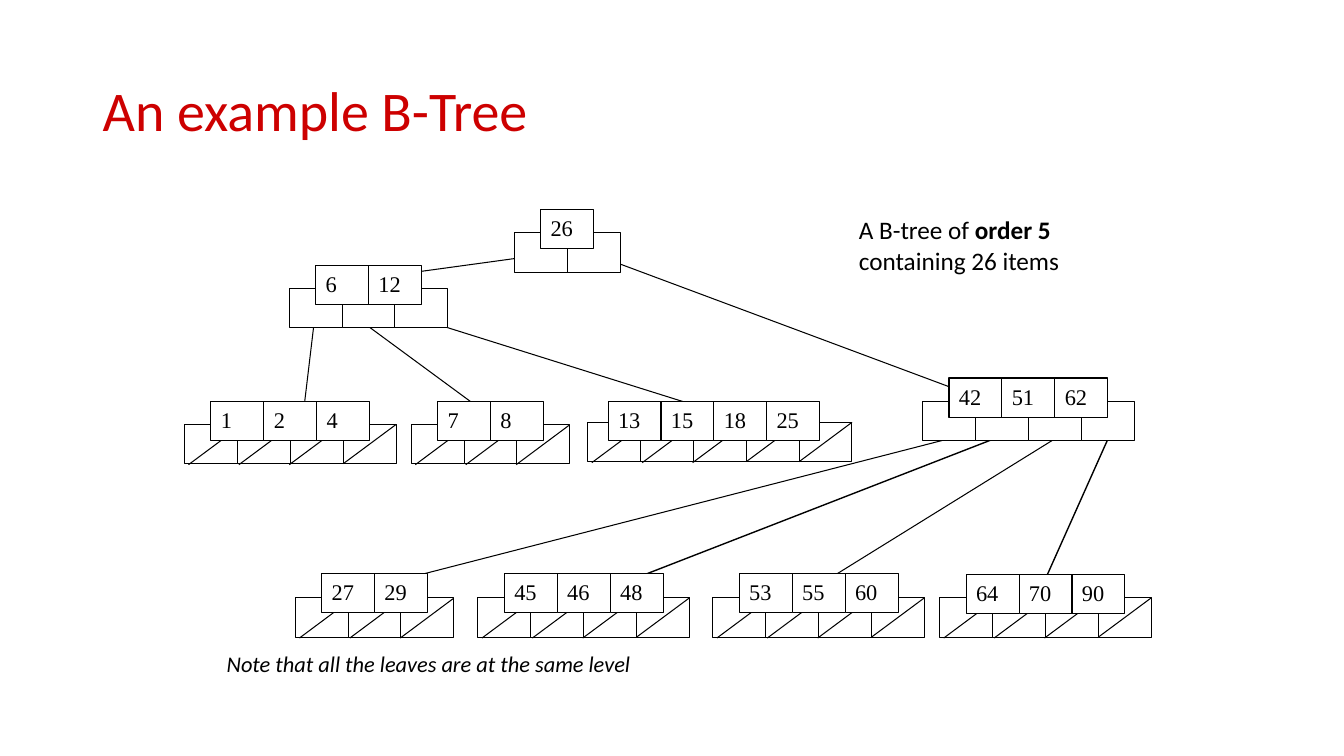
from pptx import Presentation
from pptx.dml.color import RGBColor
from pptx.enum.shapes import MSO_CONNECTOR, MSO_SHAPE
from pptx.enum.text import MSO_ANCHOR
from pptx.oxml import parse_xml
from pptx.oxml.ns import nsdecls
from pptx.util import Emu, Pt

PX = 9144
SLIDE_SIZE = (1333, 750)
BLACK = RGBColor(0x00, 0x00, 0x00)
WHITE = RGBColor(0xFF, 0xFF, 0xFF)
RED = RGBColor(0xCD, 0x00, 0x00)

TITLE_FONT = {"name": "Calibri", "size": Pt(40)}
CAPTION_FONT = {"name": "Calibri", "size": Pt(18)}
STRONG_FONT = CAPTION_FONT | {"bold": True}
NOTE_FONT = {"name": "Calibri", "size": Pt(16), "italic": True}
KEY_FONT = {"name": "Times New Roman", "size": Pt(16)}

CELL_HEIGHT = 39
SLASH_INSET = 4
SLASH_PITCH = 50
INSET_SLASHES = 3

BRANCHES = [
    ((510, 208, 105, 62), [26]),
    ((287, 263, 157, 62), [6, 12]),
    ((915, 375, 210, 62), [42, 51, 62]),
]
LEAVES = [
    ((183, 398, 210, 62), [1, 2, 4], (0, 0)),
    ((408, 398, 157, 62), [7, 8], (0, 0)),
    ((577, 398, 262, 62), [13, 15, 18, 25], (6, -2)),
    ((293, 569, 157, 63), [27, 29], (0, 0)),
    ((474, 569, 210, 63), [45, 46, 48], (0, 0)),
    ((707, 569, 210, 63), [53, 55, 60], (0, 0)),
    ((932, 570, 210, 62), [64, 70, 90], (0, 0)),
]
EDGES = [
    ((536, 253), (339, 280), 0.75),
    ((583, 250), (1020, 413), 0.75),
    ((313, 308), (300, 417), 0.75),
    ((367, 325), (492, 417), 0.75),
    ((396, 310), (708, 408), 0.75),
    ((950, 433), (367, 583), 0.75),
    ((992, 433), (583, 592), 1),
    ((1050, 433), (808, 583), 0.75),
    ((1100, 433), (1033, 583), 1),
]


def scaled(*lengths):
    return [Emu(round(length * PX)) for length in lengths]


def write_run(paragraph, words, font_values, color=BLACK):
    run = paragraph.add_run()
    run.text = words
    for attribute, value in font_values.items():
        setattr(run.font, attribute, value)
    run.font.color.rgb = color


def draw_line(slide, start, end, weight=0.75):
    line = slide.shapes.add_connector(
        MSO_CONNECTOR.STRAIGHT, *scaled(*start, *end))
    line.line.color.rgb = BLACK
    line.line.width = Pt(weight)
    line._element.spPr.append(parse_xml(f"<a:effectLst {nsdecls('a')}/>"))


def draw_cell(slide, box, key=None):
    cell = slide.shapes.add_shape(MSO_SHAPE.RECTANGLE, *scaled(*box))
    cell.shadow.inherit = False
    cell.fill.solid()
    cell.fill.fore_color.rgb = WHITE
    cell.line.color.rgb = BLACK
    cell.line.width = Pt(0.75)
    if key is not None:
        cell.text_frame.vertical_anchor = MSO_ANCHOR.TOP
        paragraph = cell.text_frame.paragraphs[0]
        paragraph.alignment = 1
        write_run(paragraph, str(key), KEY_FONT)


def draw_node(slide, box, keys, is_leaf=False, pointer_shift=(0, 0)):
    left, top, width, height = box
    pointer_count = len(keys) + 1
    cell_width = width / pointer_count
    pointer_left = left + pointer_shift[0]
    pointer_top = top + height - CELL_HEIGHT + pointer_shift[1]
    for index in range(pointer_count):
        draw_cell(slide, (pointer_left + index * cell_width, pointer_top,
                          cell_width, CELL_HEIGHT))
    if is_leaf:
        for index in range(pointer_count):
            is_inset = index < INSET_SLASHES
            offset = SLASH_INSET + index * SLASH_PITCH if is_inset else index * cell_width
            slash_left = pointer_left + offset
            slash_top = pointer_top + is_inset
            draw_line(slide, (slash_left + cell_width, slash_top),
                      (slash_left, slash_top + CELL_HEIGHT))
    for index, key in enumerate(keys):
        draw_cell(slide, (left + (index + 0.5) * cell_width, top,
                          cell_width, CELL_HEIGHT), key)


def draw_text(slide, box, runs, frame_values, paragraph_values):
    frame = slide.shapes.add_textbox(*scaled(*box)).text_frame
    paragraph = frame.paragraphs[0]
    for target, values in ((frame, frame_values), (paragraph, paragraph_values)):
        for attribute, value in values.items():
            setattr(target, attribute, value)
    for run in runs:
        write_run(paragraph, *run)


def draw_title(slide, box):
    draw_text(slide, box, [("An example B-Tree", TITLE_FONT, RED)],
              {"word_wrap": True, "vertical_anchor": MSO_ANCHOR.MIDDLE},
              {"line_spacing": 0.9})


def draw_caption(slide, box):
    draw_text(slide, box, [("A B-tree of ", CAPTION_FONT),
                           ("order 5", STRONG_FONT),
                           (" containing 26 items", CAPTION_FONT)],
              {"word_wrap": True}, {})


def draw_note(slide, box):
    draw_text(slide, box,
              [("Note that all the leaves are at the same level", NOTE_FONT)],
              {"word_wrap": False}, {})


def draw_tree(slide):
    for start, end, weight in EDGES:
        draw_line(slide, start, end, weight)
    for box, keys in BRANCHES:
        draw_node(slide, box, keys)
    for box, keys, pointer_shift in LEAVES:
        draw_node(slide, box, keys, True, pointer_shift)


def main():
    deck = Presentation()
    deck.slide_width, deck.slide_height = scaled(*SLIDE_SIZE)
    slide = deck.slides.add_slide(deck.slide_layouts[6])
    draw_title(slide, (92, 40, 1150, 145))
    draw_tree(slide)
    draw_caption(slide, (842, 208, 292, 71))
    draw_note(slide, (215, 640, 426, 37))
    deck.save("out.pptx")


if __name__ == "__main__":
    main()
